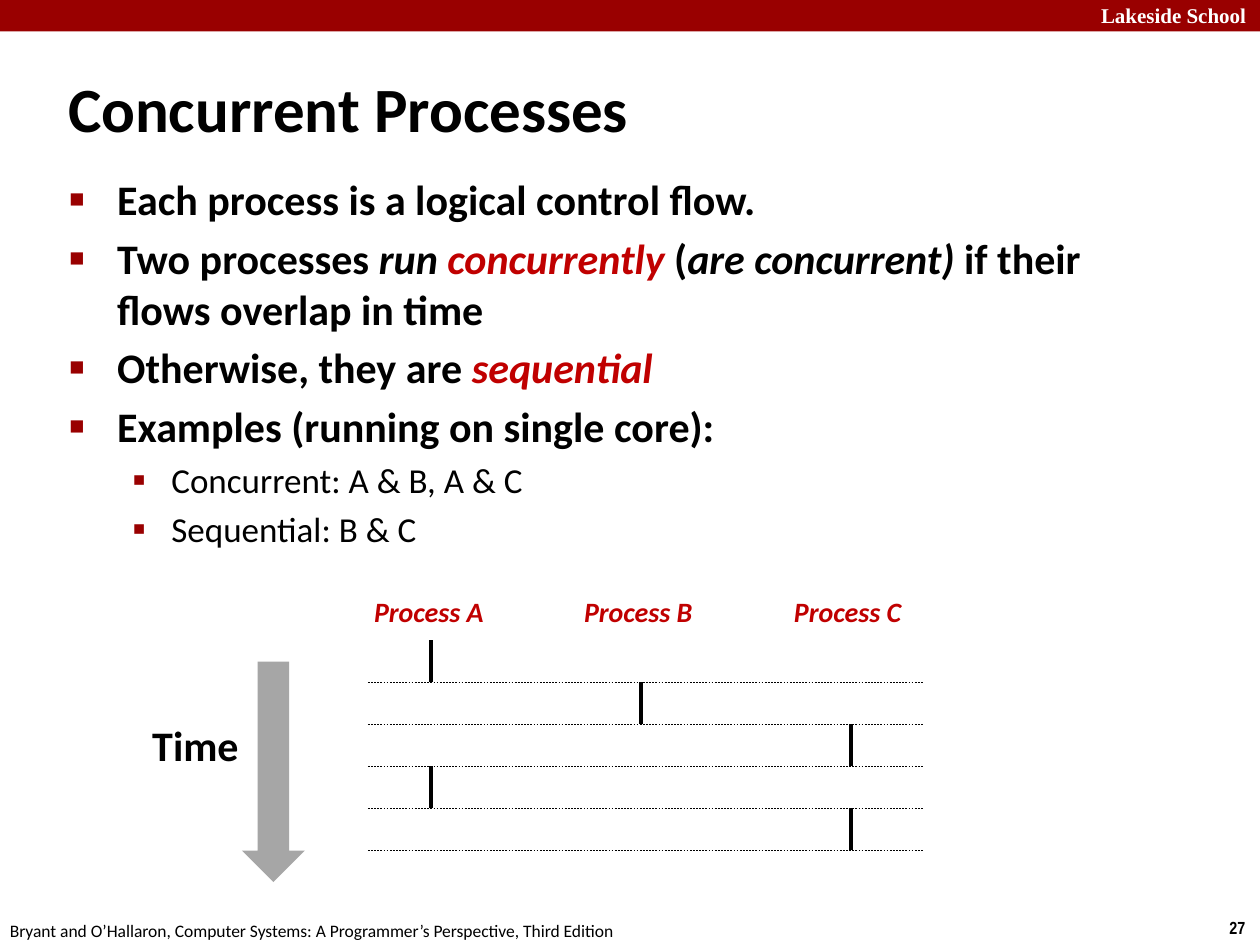
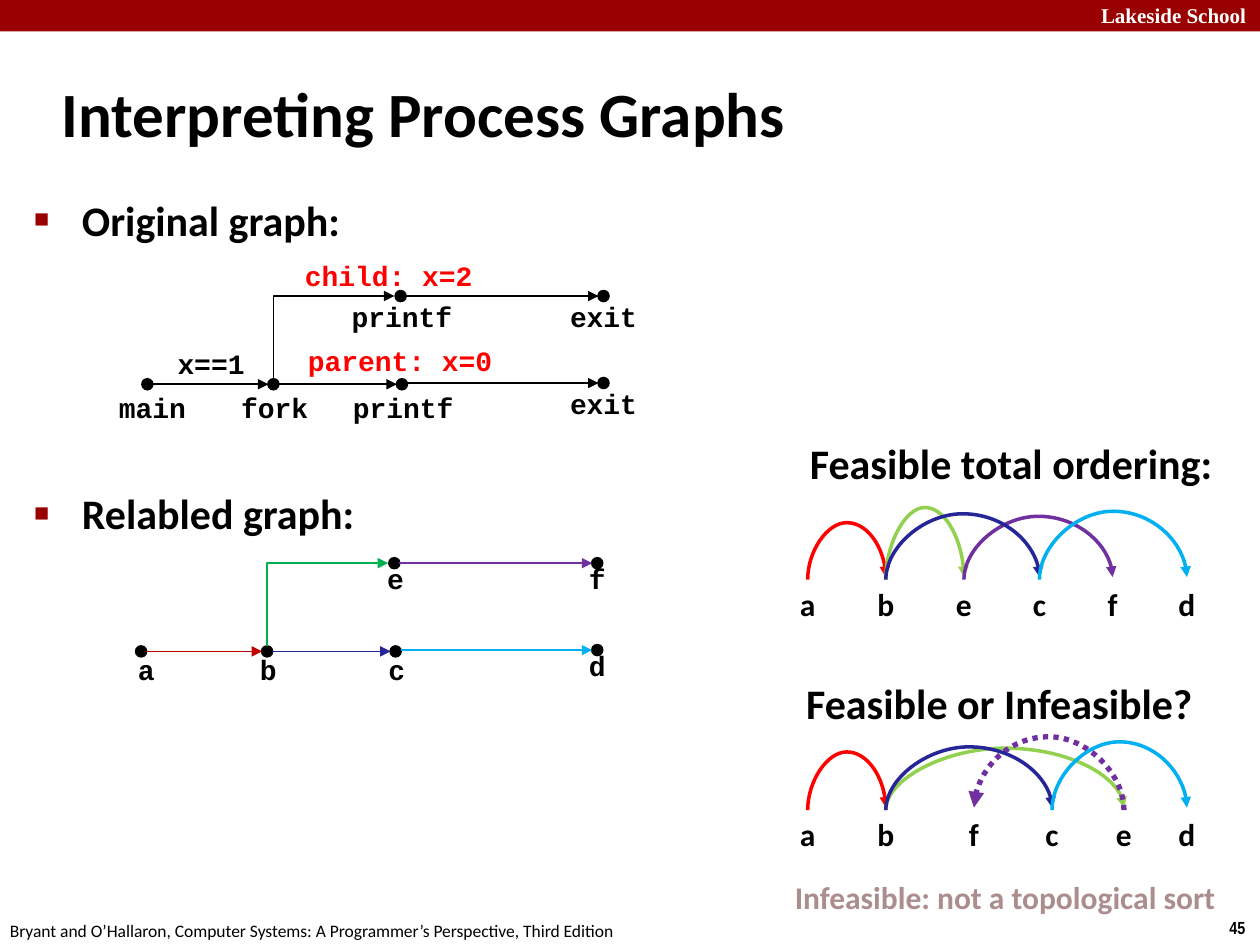
from dataclasses import dataclass
from typing import NamedTuple

import pptx
import pptx.dml.color
import pptx.enum.dml
import pptx.enum.shapes
import pptx.enum.text
import pptx.oxml
import pptx.oxml.ns
import pptx.oxml.xmlchemy
import pptx.util
from pptx.util import Inches

COLORS = {
    "band": "990000", "white": "FFFFFF", "black": "000000", "accent": "C00000",
    "gray": "A6A6A6", "red": "FF0000", "green": "00B050", "lime": "92D050",
    "navy": "262699", "purple": "7030A0", "cyan": "00B0F0", "muted": "AB8D8D",
}
SHAPE = pptx.enum.shapes.MSO_SHAPE
CONNECTOR = pptx.enum.shapes.MSO_CONNECTOR
ALIGN = pptx.enum.text.PP_ALIGN
DASH = pptx.enum.dml.MSO_LINE
BODY_FONT = "Calibri"
CODE_FONT = "Courier New"
FOOTER = "Bryant and O’Hallaron, Computer Systems: A Programmer’s Perspective, Third Edition"


class Box(NamedTuple):
    left: float
    top: float
    width: float
    height: float


class Style(NamedTuple):
    size: float
    color: str = "black"
    bold: bool = True
    italic: bool = False
    font: str = BODY_FONT


class Run(NamedTuple):
    text: str
    color: str = "black"
    italic: bool = False


class Bullet(NamedTuple):
    runs: list[Run]
    level: int = 0
    space_before: float | None = None


class BulletLevel(NamedTuple):
    size: float
    bold: bool
    margin: float
    hanging: float
    character: str
    percent: int


class Node(NamedTuple):
    x: float
    y: float
    label_shift: float
    label_drop: float


class Arc(NamedTuple):
    start: str
    end: str
    height: float
    color: str
    dash: object = None
    width: float = 2


@dataclass
class ProcessGraph:
    dx: float
    dy: float
    labels: list[str]
    label_rise: float
    edge_colors: list[str]
    branch_color: str


@dataclass
class Ordering:
    base: float
    anchors: dict[str, float]
    arcs: list[Arc]


BULLET_LEVELS = [
    BulletLevel(24, True, 0.38, 0.38, "■", 60),
    BulletLevel(20, False, 0.81, 0.31, "▪", 110),
]
CODE = Style(16, font=CODE_FONT)
HEADING = Style(24)
LETTER = Style(18)

MAIN, FORK, PARENT, CHILD, CHILD_EXIT, PARENT_EXIT = range(6)
NODES = [
    Node(1.17, 3.05, 0.04, 0), Node(2.17, 3.05, 0.01, 0), Node(3.19, 3.05, 0.01, 0),
    Node(3.18, 2.35, 0.01, -0.02), Node(4.79, 2.35, 0, -0.02), Node(4.79, 3.04, 0, -0.02),
]
EDGES = [(MAIN, FORK), (FORK, PARENT), (CHILD, CHILD_EXIT), (PARENT, PARENT_EXIT)]
GRAPHS = [
    ProcessGraph(0, 0, ["main", "fork", "printf", "printf", "exit", "exit"], 0,
                 ["black"] * 4, "black"),
    ProcessGraph(-0.05, 2.12, ["a", "b", "c", "e", "f", "d"], 0.04,
                 ["accent", "navy", "purple", "cyan"], "green"),
]
ORDERINGS = [
    Ordering(4.6, {"a": 6.41, "b": 7.03, "e": 7.65, "c": 8.25, "f": 8.83, "d": 9.42}, [
        Arc("a", "b", 0.45, "red"), Arc("b", "e", 0.57, "lime"),
        Arc("e", "f", 0.5, "purple"), Arc("b", "c", 0.52, "navy"),
        Arc("c", "d", 0.54, "cyan"),
    ]),
    Ordering(6.43, {"a": 6.41, "b": 7.03, "f": 7.73, "c": 8.35, "e": 8.92, "d": 9.42}, [
        Arc("a", "b", 0.46, "red"), Arc("b", "e", 0.49, "lime"),
        Arc("e", "f", 0.58, "purple", DASH.ROUND_DOT, 3), Arc("b", "c", 0.5, "navy"),
        Arc("c", "d", 0.54, "cyan"),
    ]),
]


def rgb(name: str) -> pptx.dml.color.RGBColor:
    return pptx.dml.color.RGBColor.from_string(COLORS[name])


def add_xml(parent, tag: str, **attributes: str):
    element = pptx.oxml.parse_xml(f"<a:{tag} {pptx.oxml.ns.nsdecls('a')}/>")
    for name, value in attributes.items():
        element.set(name, value)
    parent.append(element)
    return element


def set_font(font, style: Style) -> None:
    font.name, font.size = style.font, pptx.util.Pt(style.size)
    font.bold, font.italic = style.bold, style.italic
    font.color.rgb = rgb(style.color)


def place(shape, box: Box) -> None:
    shape.left, shape.top, shape.width, shape.height = map(Inches, box)


def add_text(slide, text: str, box: Box, style: Style, align=ALIGN.LEFT) -> None:
    frame = slide.shapes.add_textbox(*map(Inches, box)).text_frame
    frame.word_wrap = False
    paragraph = frame.paragraphs[0]
    paragraph.text, paragraph.alignment = text, align
    set_font(paragraph.font, style)


def add_shape(slide, kind, box: Box, color: str) -> None:
    shape = slide.shapes.add_shape(kind, *map(Inches, box))
    shape.shadow.inherit = False
    shape.fill.solid()
    shape.fill.fore_color.rgb = rgb(color)
    shape.line.fill.background()


def add_line(slide, kind, start: tuple, end: tuple, color: str, width: float,
             dash=None, arrow: bool = False):
    connector = slide.shapes.add_connector(kind, *map(Inches, (*start, *end)))
    connector.line.color.rgb = rgb(color)
    connector.line.width = pptx.util.Pt(width)
    if dash:
        connector.line.dash_style = dash
    if arrow:
        add_xml(connector.line._get_or_add_ln(), "tailEnd", type="triangle")
    add_xml(connector._element.spPr, "effectLst")
    return connector


def add_rising_line(slide, kind, preset: str, start: tuple, end: tuple, color: str,
                    width: float, dash=None, peak: float | None = None) -> None:
    center_x, center_y = (start[0] + end[0]) / 2, (start[1] + end[1]) / 2
    rise, run = start[1] - end[1], abs(end[0] - start[0])
    corner = (center_x - rise / 2, center_y - run / 2)
    opposite = (center_x + rise / 2, center_y + run / 2)
    connector = add_line(slide, kind, corner, opposite, color, width, dash, arrow=True)
    properties = connector._element.spPr
    frame = properties.find(pptx.oxml.ns.qn("a:xfrm"))
    rightward = end[0] > start[0]
    frame.set("rot", str((90 if rightward else 270) * 60000))
    frame.set("flipV", "1")
    if rightward:
        frame.set("flipH", "1")
    geometry = properties.find(pptx.oxml.ns.qn("a:prstGeom"))
    geometry.set("prst", preset)
    if peak:
        guides = geometry.find(pptx.oxml.ns.qn("a:avLst"))
        add_xml(guides, "gd", name="adj1", fmla=f"val {round(peak / rise * 100000)}")


def fill_title(slide, text: str, box: Box) -> None:
    title = slide.shapes.title
    place(title, box)
    frame = title.text_frame
    frame.auto_size = pptx.enum.text.MSO_AUTO_SIZE.NONE
    frame.vertical_anchor = pptx.enum.text.MSO_ANCHOR.MIDDLE
    paragraph = frame.paragraphs[0]
    paragraph.text, paragraph.alignment = text, ALIGN.LEFT
    properties = paragraph._p.get_or_add_pPr()
    properties.set("marL", str(Inches(0.13)))
    properties.set("indent", str(Inches(-0.13)))
    set_font(paragraph.font, Style(36))


def fill_bullets(slide, bullets: list[Bullet], box: Box) -> None:
    body = slide.placeholders[1]
    place(body, box)
    frame = body.text_frame
    frame.auto_size = pptx.enum.text.MSO_AUTO_SIZE.NONE
    for index, bullet in enumerate(bullets):
        paragraph = frame.add_paragraph() if index else frame.paragraphs[0]
        level = BULLET_LEVELS[bullet.level]
        paragraph.level = bullet.level
        if bullet.space_before:
            paragraph.space_before = pptx.util.Pt(bullet.space_before)
        properties = paragraph._p.get_or_add_pPr()
        properties.set("marL", str(Inches(level.margin)))
        properties.set("indent", str(Inches(-level.hanging)))
        add_xml(add_xml(properties, "buClr"), "srgbClr", val=COLORS["band"])
        add_xml(properties, "buSzPct", val=str(level.percent * 1000))
        add_xml(properties, "buChar", char=level.character)
        set_font(paragraph.font, Style(level.size, bold=level.bold))
        for part in bullet.runs:
            run = paragraph.add_run()
            run.text = part.text
            if part.italic:
                run.font.italic = True
            if part.color != "black":
                run.font.color.rgb = rgb(part.color)


def add_slide(presentation, number: int):
    slide = presentation.slides.add_slide(presentation.slide_layouts[1])
    add_shape(slide, SHAPE.RECTANGLE, Box(0, 0, 10, 0.25), "band")
    add_text(slide, "Lakeside School", Box(8.64, -0.03, 1.43, 0.3),
             Style(12, "white", font="Times New Roman"))
    add_text(slide, str(number), Box(9.66, 7.23, 0.34, 0.27), Style(10, font="Arial Narrow"))
    add_text(slide, FOOTER, Box(-0.02, 7.25, 5.08, 0.27), Style(10, bold=False))
    return slide


def build_concurrent_processes(presentation) -> None:
    slide = add_slide(presentation, 27)
    fill_title(slide, "Concurrent Processes", Box(0.44, 0.54, 6.64, 0.63))
    fill_bullets(slide, [
        Bullet([Run("Each process is a logical control flow.")]),
        Bullet([Run("Two processes "), Run("run ", italic=True),
                Run("concurrently", "accent", True), Run(" ("),
                Run("are concurrent)", italic=True), Run(" if their flows overlap in time")]),
        Bullet([Run("Otherwise, they are "), Run("sequential", "accent", True)]),
        Bullet([Run("Examples (running on single core):")]),
        Bullet([Run("Concurrent: A & B, A & C")], 1),
        Bullet([Run("Sequential: B & C")], 1),
    ], Box(0.45, 1.33, 8.64, 2.83))
    column_gap, time_step, first_top = 5 / 3, 1 / 3, 5.08
    for column, process in enumerate("ABC"):
        add_text(slide, f"Process {process}", Box(2.87 + column * column_gap, 4.67, 1.08, 0.37),
                 Style(16, "accent", italic=True))
    for step, process in enumerate("ABCAC"):
        x = 3.42 + "ABC".index(process) * column_gap
        top = first_top + step * time_step
        bottom = top + time_step
        add_line(slide, CONNECTOR.STRAIGHT, (x, top), (x, bottom), "black", 2)
        add_line(slide, CONNECTOR.STRAIGHT, (2.92, bottom), (7.33, bottom), "black", 0.25, DASH.DASH)
    add_text(slide, "Time", Box(1.11, 5.66, 0.89, 0.5), HEADING)
    add_shape(slide, SHAPE.DOWN_ARROW, Box(1.92, 5.25, 0.5, 1.75), "gray")


def add_graph(slide, graph: ProcessGraph) -> None:
    radius, reach = 0.05, 0.04
    nodes = [node._replace(x=node.x + graph.dx, y=node.y + graph.dy) for node in NODES]
    for node, label in zip(nodes, graph.labels):
        add_shape(slide, SHAPE.OVAL, Box(node.x - radius, node.y - radius, 0.1, 0.1), "black")
        add_text(slide, label, Box(node.x + node.label_shift - 0.52,
                                   node.y + node.label_drop - graph.label_rise, 1.04, 0.37),
                 CODE, ALIGN.CENTER)
    for (start, end), color in zip(EDGES, graph.edge_colors):
        y = nodes[end].y
        add_line(slide, CONNECTOR.STRAIGHT, (nodes[start].x + reach, y),
                 (nodes[end].x - reach, y), color, 1, arrow=True)
    fork, child = nodes[FORK], nodes[CHILD]
    add_rising_line(slide, CONNECTOR.ELBOW, "bentConnector2", (fork.x, fork.y - reach),
                    (child.x - radius, child.y), graph.branch_color, 1)


def add_ordering(slide, ordering: Ordering) -> None:
    for letter, x in ordering.anchors.items():
        add_text(slide, letter, Box(x - 0.17, ordering.base - 0.01, 0.34, 0.4), LETTER, ALIGN.CENTER)
    for arc in ordering.arcs:
        add_rising_line(slide, CONNECTOR.CURVE, "curvedConnector3",
                        (ordering.anchors[arc.start], ordering.base),
                        (ordering.anchors[arc.end], ordering.base - 0.02),
                        arc.color, arc.width, arc.dash, arc.height)


def build_process_graphs(presentation) -> None:
    slide = add_slide(presentation, 45)
    fill_title(slide, "Interpreting Process Graphs", Box(0.39, 0.48, 8.3, 0.83))
    fill_bullets(slide, [Bullet([Run("Original graph:")]),
                         Bullet([Run("Relabled graph:")], space_before=139)],
                 Box(0.17, 1.49, 5.14, 4.26))
    for graph in GRAPHS:
        add_graph(slide, graph)
    for text, box, color in [
        ("child: x=2", Box(2.08, 2, 2.01, 0.37), "red"),
        ("x==1", Box(1.24, 2.7, 0.87, 0.37), "black"),
        ("parent: x=0", Box(2.17, 2.68, 2.01, 0.37), "red"),
    ]:
        add_text(slide, text, box, CODE._replace(color=color), ALIGN.CENTER)
    for ordering in ORDERINGS:
        add_ordering(slide, ordering)
    add_text(slide, "Feasible total ordering:", Box(6.33, 3.42, 3.44, 0.5), HEADING)
    add_text(slide, "Feasible or Infeasible?", Box(6.3, 5.33, 3.39, 0.5), HEADING)
    add_text(slide, "Infeasible: not a topological sort", Box(6.21, 6.92, 3.57, 0.4),
             Style(18, "muted"))


def main() -> None:
    presentation = pptx.Presentation()
    presentation.slide_width, presentation.slide_height = Inches(10), Inches(7.5)
    build_concurrent_processes(presentation)
    build_process_graphs(presentation)
    presentation.save("out.pptx")


if __name__ == "__main__":
    main()
